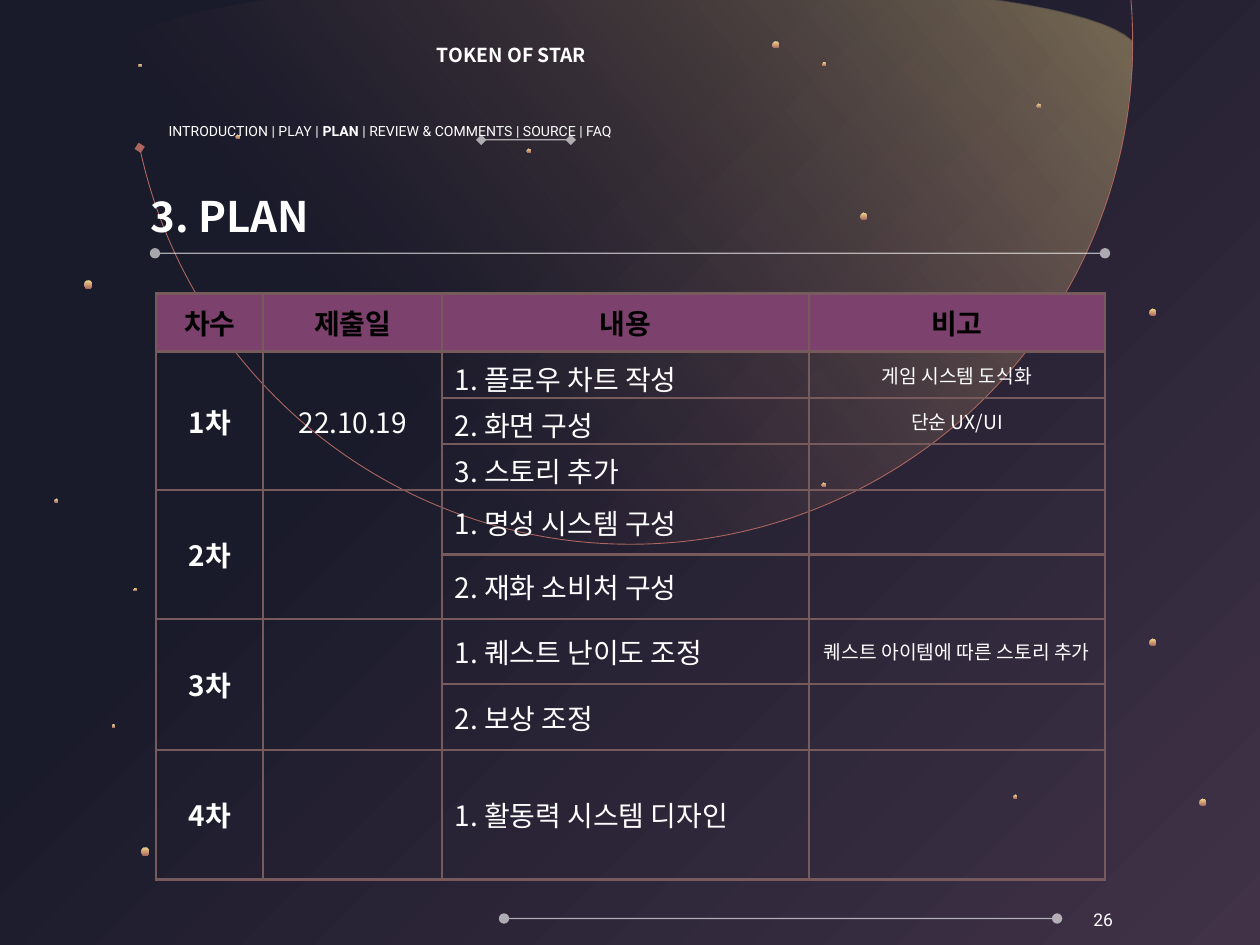
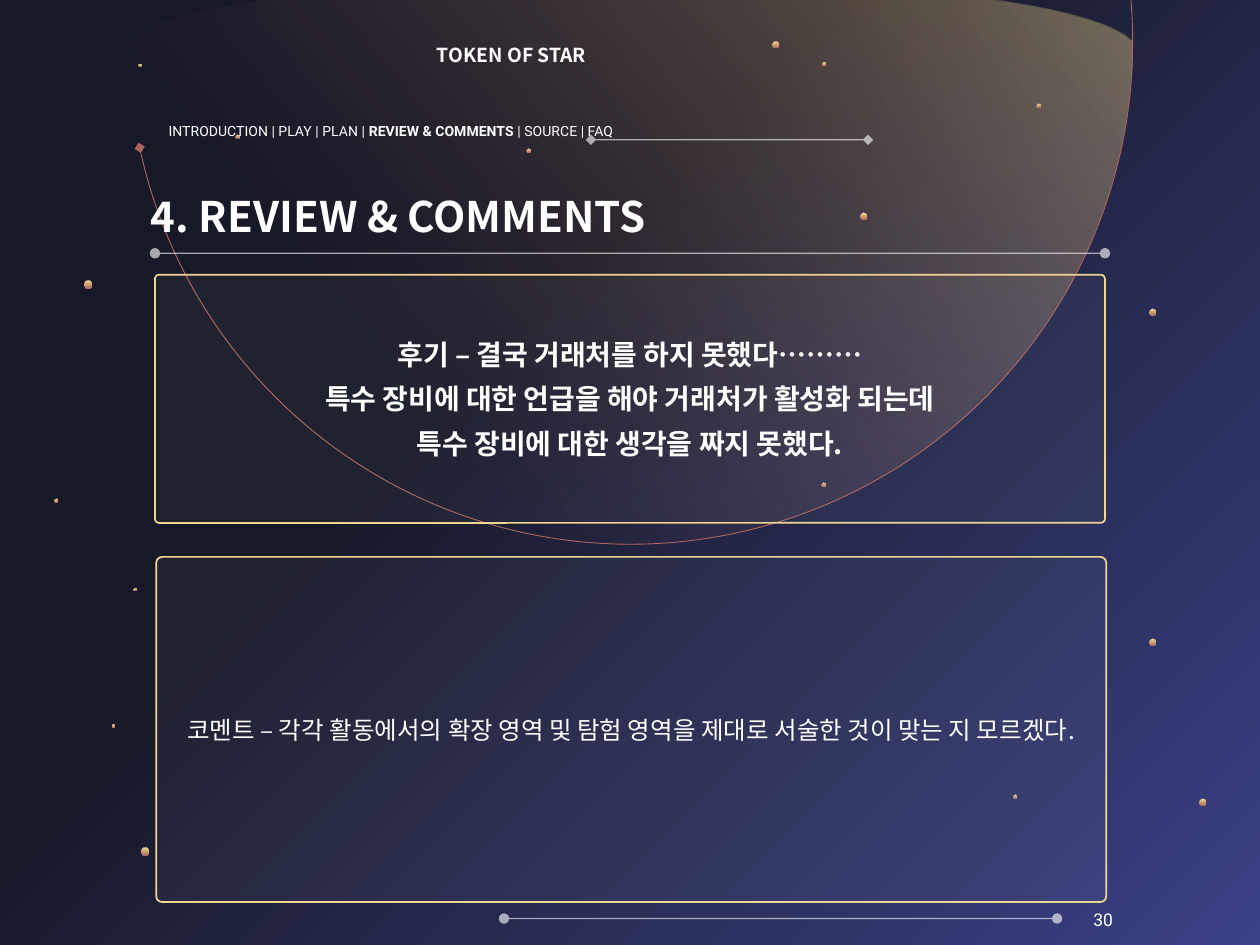
import itertools
import math
import lxml.etree
import pptx
import pptx.dml.color
import pptx.enum.shapes
import pptx.enum.text
import pptx.oxml.ns
import pptx.util

hue = pptx.dml.color.RGBColor.from_string
tag = pptx.oxml.ns.qn
sub = lxml.etree.SubElement
kind = pptx.enum.shapes.MSO_SHAPE
align = pptx.enum.text.PP_ALIGN
mid = pptx.enum.text.MSO_ANCHOR.MIDDLE

deck = pptx.Presentation()
deck.slide_width = pptx.util.Inches(10)
deck.slide_height = pptx.util.Inches(7.5)
col = deck.slide_width // 100
row = deck.slide_height // 100

WHITE, BLACK, GOLD, RUST = "FFFFFF", "000000", "FCE28B", "AC665F"
FRAME, PLUM, RULE = "ECD691", "7C416C", "775A5C"
SANS, BODY = "Noto Sans CJK KR", "Roboto"
parts = ["INTRODUCTION", "PLAY", "PLAN", "REVIEW & COMMENTS", "SOURCE", "FAQ"]

dots = [
    (11, 6.8, 0.2), (82.3, 10.93, 0.3), (65.3, 6.67, 0.2), (18.7, 14.27, 0.3),
    (11.2, 89.73, 0.6), (80.4, 84.13, 0.3), (95.2, 84.53, 0.5), (91.2, 67.6, 0.5),
    (65.2, 51.07, 0.3), (91.2, 32.67, 0.5), (6.7, 29.73, 0.6), (10.6, 62.27, 0.2),
    (4.3, 52.8, 0.3), (8.9, 76.67, 0.2), (41.8, 15.73, 0.3), (68.3, 22.53, 0.5),
    (61.3, 4.4, 0.5),
]

pages = [
    {"no": "26", "part": 2, "head": "3. PLAN", "mark": (38.2, 45.3),
     "sky": [(34, "191A2A", 100), (100, "413247", 100)], "panels": []},
    {"no": "30", "part": 3, "head": "4. REVIEW & COMMENTS", "mark": (46.9, 68.9),
     "sky": [(38, "181928", 100), (100, "3A4186", 100)],
     "panels": [
         ((12.3, 29.07, 75.4, 26.27), 16, True,
          ["후기 – 결국 거래처를 하지 못했다………",
           "특수 장비에 대한 언급을 해야 거래처가 활성화 되는데",
           "특수 장비에 대한 생각을 짜지 못했다."]),
         ((12.4, 58.93, 75.4, 36.53), 14, False,
          ["코멘트 – 각각 활동에서의 확장 영역 및 탐험 영역을 제대로 서술한 것이 맞는 지 모르겠다."]),
     ]},
]

plan = [
    ("차수", "제출일", "내용", "비고"),
    ("1차", "22.10.19", "1. 플로우 차트 작성", "게임 시스템 도식화"),
    ("", "", "2. 화면 구성", "단순 UX/UI"),
    ("", "", "3. 스토리 추가", ""),
    ("2차", "", "1. 명성 시스템 구성", ""),
    ("", "", "2. 재화 소비처 구성", ""),
    ("3차", "", "1. 퀘스트 난이도 조정", "퀘스트 아이템에 따른 스토리 추가"),
    ("", "", "2. 보상 조정", ""),
    ("4차", "", "1. 활동력 시스템 디자인", ""),
]
wide = [8.5, 14.2, 29.1, 23.5]
tall = [6.13, 4.53, 4.53, 4.53, 6.8, 6.8, 6.93, 6.93, 13.73]
spans = [(1, 3), (4, 5), (6, 7)]


def spot(*box):
    return [int(n * unit) for n, unit in zip(box, itertools.cycle((col, row)))]


def blend(node, stops, angle):
    old = node.find(tag("a:solidFill"))
    grad = lxml.etree.Element(tag("a:gradFill"), rotWithShape="1")
    node.replace(old, grad)
    steps = sub(grad, tag("a:gsLst"))
    for place, tint, alpha in stops:
        stop = sub(steps, tag("a:gs"), pos=str(place * 1000))
        tone = sub(stop, tag("a:srgbClr"), val=tint)
        sub(tone, tag("a:alpha"), val=str(alpha * 1000))
    sub(grad, tag("a:lin"), ang=str(angle * 60000), scaled="0")


bowl = []
for turn in range(0, 181, 3):
    a = math.radians(turn)
    bowl.append((int(col * (50 + 39.9 * math.cos(a))),
                 int(row * 4.4 + col * 39.9 * math.sin(a))))
for step in range(1, 40):
    t = step / 40
    s = 1 - t
    x = 10.1 * s**3 + 50.1 * t * s**2 + 249.9 * t**2 * s + 89.9 * t**3
    bowl.append(tuple(spot(x, 4.4 - 26.8 * t * s)))

fonts = []

for page in pages:
    slide = deck.slides.add_slide(deck.slide_layouts[6])
    shapes = slide.shapes
    slide.background.fill.solid()
    slide.background.fill.fore_color.rgb = hue(BLACK)
    blend(slide._element.xpath(".//p:bgPr")[0], page["sky"], 45)

    build = shapes.build_freeform(*bowl[0])
    build.add_line_segments(bowl[1:], close=True)
    glow = build.convert_to_shape()
    glow.shadow.inherit = False
    glow.line.fill.background()
    glow.fill.solid()
    blend(glow._element.spPr, [(0, GOLD, 39), (72, RUST, 0)], 140)

    for x, y, size in dots:
        left, top, side = spot(x, y, size)
        dot = shapes.add_shape(kind.OVAL, left, top, side, side)
        dot.shadow.inherit = False
        dot.line.fill.background()
        dot.fill.solid()
        blend(dot._element.spPr, [(0, RUST, 100), (100, GOLD, 96)], 270)

    arc = shapes.add_shape(kind.ARC, *spot(10.2, -48.67, 79.7, 106.27))
    arc.adjustments[0] = 115.289
    arc.adjustments[1] = 4.735
    arc._element.spPr.xfrm.set("flipV", "1")
    arc.shadow.inherit = False
    arc.fill.background()
    arc.line.color.rgb = hue(RUST)
    arc.line.width = pptx.util.Pt(0.5)
    for end in ("a:headEnd", "a:tailEnd"):
        sub(arc.line._get_or_add_ln(), tag(end), type="diamond")

    for x, till, y, tip in [(12.3, 87.7, 26.8, "oval"), (40, 83.9, 97.2, "oval"),
                            (*page["mark"], 14.8, "diamond")]:
        line = shapes.add_connector(pptx.enum.shapes.MSO_CONNECTOR.STRAIGHT,
                                    *spot(x, y, till, y))
        line.line.color.rgb = hue(WHITE)
        line.line.width = pptx.util.Pt(0.75)
        tone = line._element.spPr.find(".//" + tag("a:srgbClr"))
        sub(tone, tag("a:alpha"), val="62000")
        for end in ("a:headEnd", "a:tailEnd"):
            sub(line.line._get_or_add_ln(), tag(end), type=tip)
        sub(line._element.spPr, tag("a:effectLst"))

    for box, text, size, face, bold, side in [
        ((84.9, 95.87, 5.3, 2.93), page["no"], 10, BODY, False, align.CENTER),
        ((12.4, 12.4, 75.3, 2.8), None, 8, BODY, False, align.JUSTIFY),
        ((11, 20.53, 45.7, 5.2), page["head"], 24, SANS, True, align.LEFT),
        ((33.7, 1.6, 32.6, 8.4), "TOKEN OF STAR", 11, SANS, True, align.JUSTIFY),
    ]:
        frame = shapes.add_textbox(*spot(*box)).text_frame
        frame.word_wrap = True
        frame.vertical_anchor = mid
        para = frame.paragraphs[0]
        para.alignment = side
        if text:
            para.text = text
        else:
            for n, part in enumerate(parts):
                if n:
                    para.add_run().text = " | "
                run = para.add_run()
                run.text = part
                if n == page["part"]:
                    run.font.bold = True
        if text == page["head"]:
            para.line_spacing = 0.9
        fonts.append((para, size, face, bold, WHITE))

    for box, size, bold, lines in page["panels"]:
        panel = shapes.add_shape(kind.ROUNDED_RECTANGLE, *spot(*box))
        panel.adjustments[0] = 0.017
        panel.shadow.inherit = False
        panel.fill.solid()
        panel.fill.fore_color.rgb = hue(WHITE)
        tone = panel._element.spPr.find(".//" + tag("a:srgbClr"))
        sub(tone, tag("a:alpha"), val="4000")
        panel.line.color.rgb = hue(FRAME)
        panel.line.width = pptx.util.Pt(1)
        frame = panel.text_frame
        frame.word_wrap = True
        frame.vertical_anchor = mid
        frame.margin_left = frame.margin_right = int(1.2 * col)
        frame.margin_top = frame.margin_bottom = 2 * col
        for n, text in enumerate(lines):
            para = frame.add_paragraph() if n else frame.paragraphs[0]
            para.text = text
            para.alignment = align.CENTER
            if n:
                para.space_before = pptx.util.Pt(6)
            fonts.append((para, size, SANS, bold, WHITE))

shapes = deck.slides[0].shapes
grid = shapes.add_table(len(plan), len(wide), *spot(12.4, 31.07, 75.3, 62)).table
grid.first_row = grid.horz_banding = False
for n, w in enumerate(wide):
    grid.columns[n].width = int(w * col)
for n, h in enumerate(tall):
    grid.rows[n].height = int(h * row)
for r, texts in enumerate(plan):
    for c, text in enumerate(texts):
        cell = grid.cell(r, c)
        cell.vertical_anchor = mid
        for edge in ("a:lnL", "a:lnR", "a:lnT", "a:lnB"):
            rim = sub(cell._tc.get_or_add_tcPr(), tag(edge), w="19050")
            sub(sub(rim, tag("a:solidFill")), tag("a:srgbClr"), val=RULE)
        if r:
            cell.fill.background()
        else:
            cell.fill.solid()
            cell.fill.fore_color.rgb = hue(PLUM)
        para = cell.text_frame.paragraphs[0]
        if text:
            para.text = text
        para.alignment = align.LEFT if r and c == 2 else align.CENTER
        size = 11 if r and c == 3 else 16
        fonts.append((para, size, SANS, not r or not c, WHITE if r else BLACK))
for first, last in spans:
    for c in (0, 1):
        grid.cell(first, c).merge(grid.cell(last, c))

for para, size, face, bold, tint in fonts:
    para.font.size = pptx.util.Pt(size)
    para.font.name = face
    para.font.bold = bold
    para.font.color.rgb = hue(tint)
    sub(para.font._element, tag("a:ea"), typeface=face)

deck.save("out.pptx")
